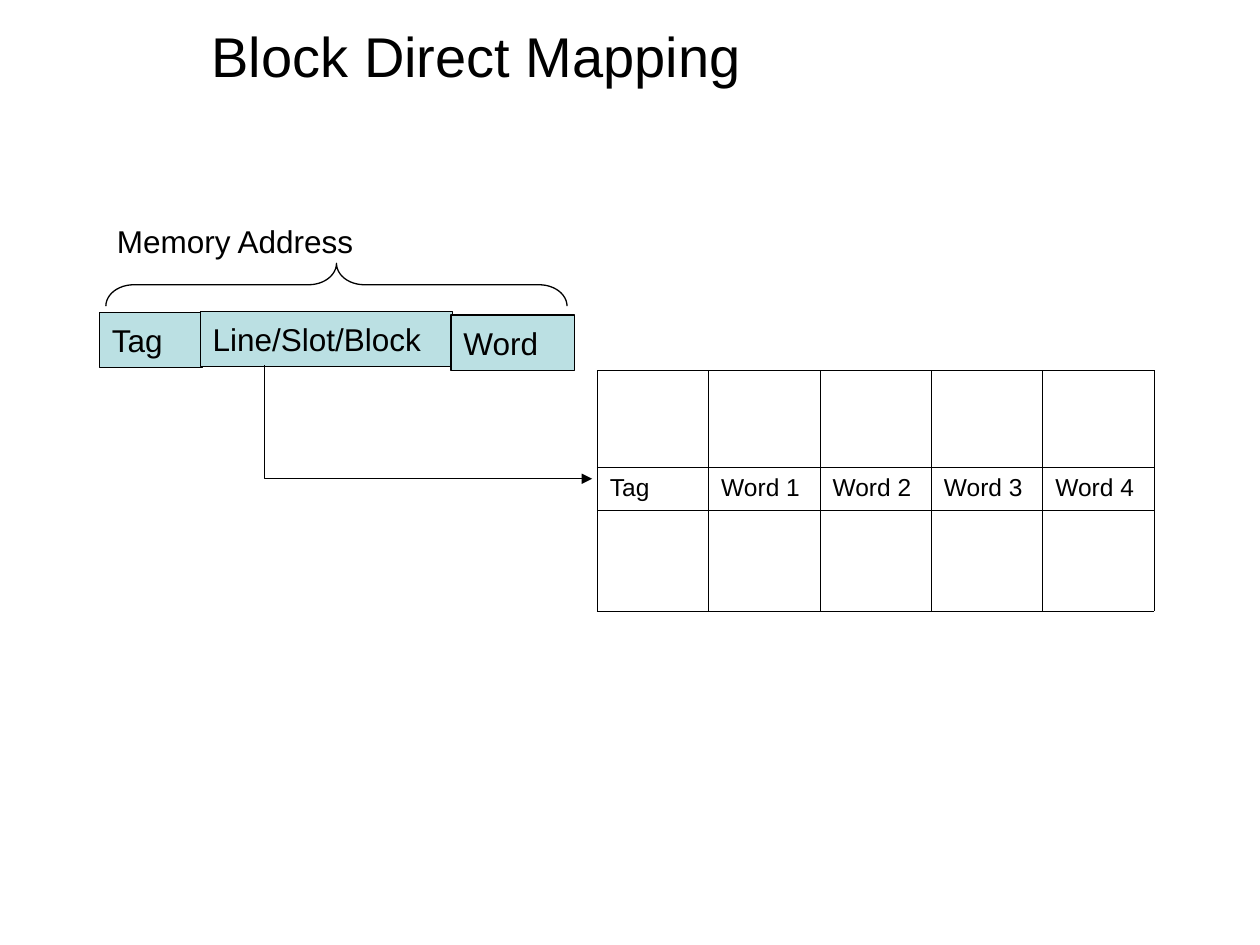
from dataclasses import dataclass

import pptx
import pptx.dml.color
import pptx.enum.shapes
import pptx.enum.text
import pptx.oxml
import pptx.oxml.ns
import pptx.util

COLUMNS, ROWS = 100, 75
CELL = pptx.util.Inches(0.1)
SHAPES = pptx.enum.shapes.MSO_SHAPE
ANCHOR = pptx.enum.text.MSO_ANCHOR


@dataclass(frozen=True)
class Theme:
    font: str = "Arial"
    ink: str = "000000"
    field: str = "BBE0E3"
    title: int = 32
    label: int = 18
    cell: int = 14
    outline: float = 0.75
    border: float = 0.45


THEME = Theme()


@dataclass(frozen=True)
class Box:
    """A region measured in grid columns and rows."""
    left: float
    top: float
    width: float
    height: float

    def inner(self, left, top, width, height):
        return Box(self.left + left, self.top + top, width, height)

    def emu(self):
        return [round(n * CELL) for n in (self.left, self.top, self.width, self.height)]


def color(value):
    return pptx.dml.color.RGBColor.from_string(value)


def write(frame, text, size, anchor=ANCHOR.MIDDLE, wrap=True):
    frame.word_wrap = wrap
    frame.vertical_anchor = anchor
    paragraph = frame.paragraphs[0]
    paragraph.alignment = pptx.enum.text.PP_ALIGN.LEFT
    run = paragraph.add_run()
    run.text = text
    run.font.name = THEME.font
    run.font.size = pptx.util.Pt(size)
    run.font.color.rgb = color(THEME.ink)


def outline(shape):
    shape.shadow.inherit = False
    shape.line.color.rgb = color(THEME.ink)
    shape.line.width = pptx.util.Pt(THEME.outline)


def add_title(slide, box, text):
    title = slide.shapes.title
    title.left, title.top, title.width, title.height = box.emu()
    write(title.text_frame, text, THEME.title)


def add_memory_address(slide, box):
    """Caption and brace above the three address fields."""
    fields = [
        ("Tag", 0, 7.7, 8.2),
        ("Line/Slot/Block", 8, 7.6, 20),
        ("Word", 27.9, 7.9, 9.8),
    ]
    for text, left, top, width in fields:
        field = slide.shapes.add_shape(
            SHAPES.RECTANGLE, *box.inner(left, top, width, 4.4).emu())
        outline(field)
        field.fill.solid()
        field.fill.fore_color.rgb = color(THEME.field)
        write(field.text_frame, text, THEME.label)

    brace = slide.shapes.add_shape(
        SHAPES.LEFT_BRACE, *box.inner(17.1, -12.8, 3.4, 36.6).emu())
    brace.rotation = 90
    brace.adjustments[0] = 0.65
    brace.fill.background()
    outline(brace)

    caption = slide.shapes.add_textbox(*box.inner(0.4, 0, 20.9, 4).emu())
    write(caption.text_frame, "Memory Address", THEME.label, ANCHOR.TOP, wrap=False)


def set_borders(cell):
    properties = cell._tc.get_or_add_tcPr()
    width = pptx.util.Pt(THEME.border)
    for position, side in enumerate(("lnL", "lnR", "lnT", "lnB")):
        properties.insert(position, pptx.oxml.parse_xml(
            f'<a:{side} {pptx.oxml.ns.nsdecls("a")} w="{width}"><a:solidFill>'
            f'<a:srgbClr val="{THEME.ink}"/></a:solidFill></a:{side}>'))


def add_cache_table(slide, box):
    heights = (7.7, 3.4, 8)
    words = ["Tag"] + [f"Word {number}" for number in range(1, 5)]
    table = slide.shapes.add_table(len(heights), len(words), *box.emu()).table
    table.first_row = table.horz_banding = False
    for column in table.columns:
        column.width = round(box.width * CELL / len(words))
    for row, height in zip(table.rows, heights):
        row.height = round(height * CELL)
    for cell in table.iter_cells():
        cell.fill.background()
        set_borders(cell)
    for cell, word in zip(table.rows[1].cells, words):
        write(cell.text_frame, word, THEME.cell, ANCHOR.TOP)
        cell.vertical_anchor = ANCHOR.TOP


def add_lookup_arrow(slide, box):
    """Line down from the block field, then right to the cache line."""
    right, bottom = box.left + box.width, box.top + box.height
    builder = slide.shapes.build_freeform(box.left, box.top, scale=CELL)
    builder.add_line_segments([(box.left, bottom), (right, bottom)], close=False)
    arrow = builder.convert_to_shape()
    arrow.fill.background()
    outline(arrow)
    arrow.line._get_or_add_ln().append(pptx.oxml.parse_xml(
        f'<a:tailEnd {pptx.oxml.ns.nsdecls("a")} type="triangle"/>'))


def main():
    presentation = pptx.Presentation()
    presentation.slide_width = COLUMNS * CELL
    presentation.slide_height = ROWS * CELL
    slide = presentation.slides.add_slide(
        presentation.slide_layouts.get_by_name("Title Only"))
    add_title(slide, Box(15.8, 1.7, 66.7, 5.3), "Block Direct Mapping")
    add_memory_address(slide, Box(7.9, 17.1, 37.7, 12.3))
    add_cache_table(slide, Box(47.4, 29.4, 44.2, 19.1))
    add_lookup_arrow(slide, Box(21.4, 29, 25.7, 9.2))
    presentation.save("out.pptx")


if __name__ == "__main__":
    main()
